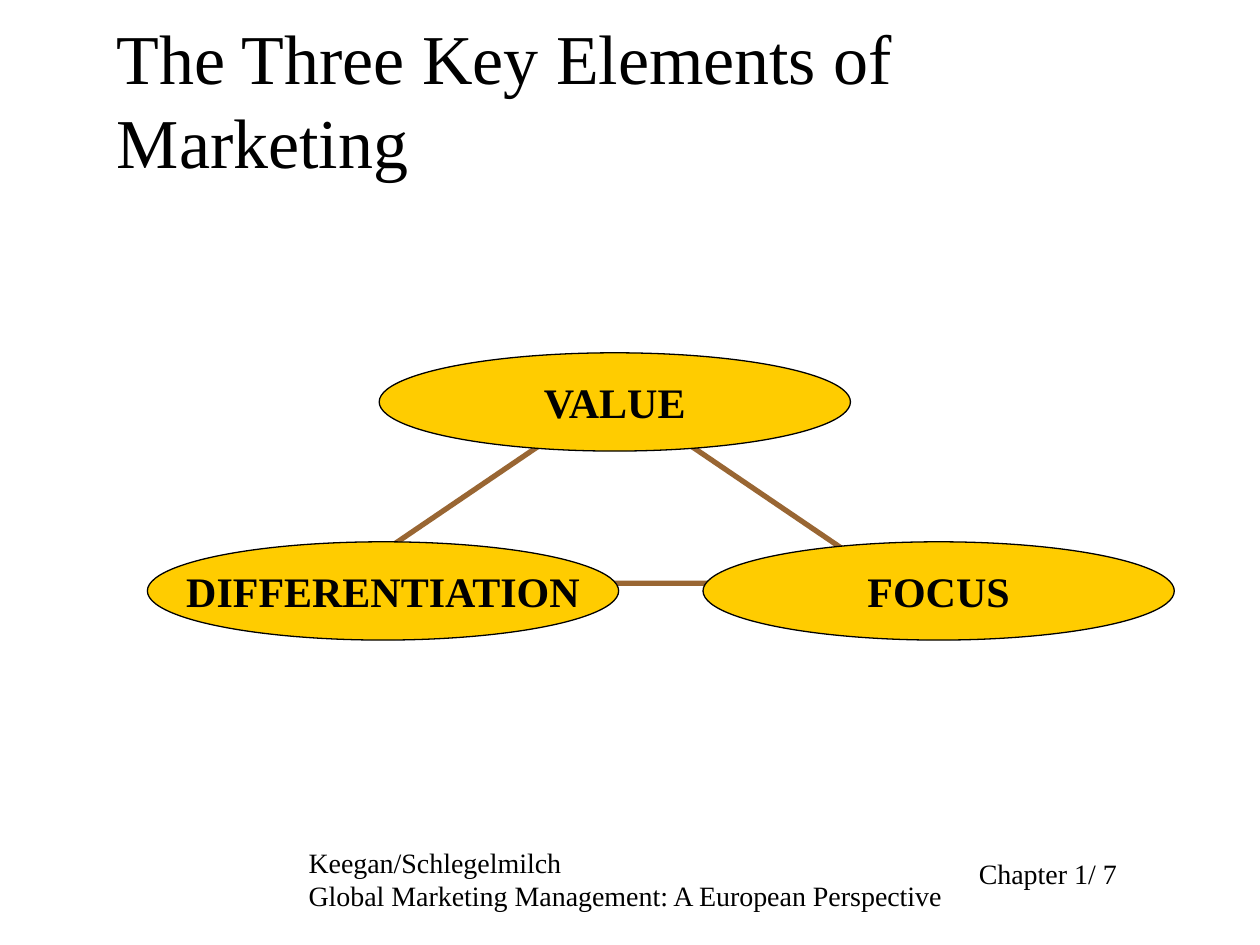
from pptx import Presentation
from pptx.dml.color import RGBColor
from pptx.enum.shapes import MSO_SHAPE as Shape
from pptx.enum.text import MSO_ANCHOR as Anchor, PP_ALIGN as Align
from pptx.util import Inches, Pt

FONT = "Times New Roman"
BLACK, GOLD, BROWN = "000000", "FFCC00", "996633"
OVAL_WIDTH, OVAL_HEIGHT = 3.74, 0.78


def color(value):
    """Turn a hex string into a colour."""
    return RGBColor.from_string(value)


def write(frame, lines, size, bold=False, align=Align.LEFT, anchor=Anchor.TOP, wrap=True):
    """Fill a text frame with one paragraph per line."""
    frame.word_wrap = wrap
    frame.vertical_anchor = anchor
    for index, line in enumerate(lines):
        para = frame.add_paragraph() if index else frame.paragraphs[0]
        para.text = line
        para.alignment = align
        para.font.name = FONT
        para.font.size = Pt(size)
        para.font.bold = bold
        para.font.color.rgb = color(BLACK)


def add_text(page, box, lines, size, **style):
    """Place a text box."""
    text_box = page.shapes.add_textbox(*map(Inches, box))
    write(text_box.text_frame, lines, size, **style)


def add_outline(page, kind, box, line, weight, fill=None):
    """Place a preset shape with an outline and an optional fill."""
    shape = page.shapes.add_shape(kind, *map(Inches, box))
    shape.shadow.inherit = False
    shape.line.color.rgb = color(line)
    shape.line.width = Pt(weight)
    if fill:
        shape.fill.solid()
        shape.fill.fore_color.rgb = color(fill)
    else:
        shape.fill.background()
    return shape


def add_elements(page, left, top):
    """Draw the triangle and the three ovals on its corners."""
    add_outline(page, Shape.ISOSCELES_TRIANGLE, (left + 1.5, top + 0.33, 4.42, 1.5), BROWN, 3)
    ovals = [("VALUE", 1.84, 0), ("DIFFERENTIATION", 0, 1.5), ("FOCUS", 4.41, 1.5)]
    for label, across, down in ovals:
        box = (left + across, top + down, OVAL_WIDTH, OVAL_HEIGHT)
        oval = add_outline(page, Shape.OVAL, box, BLACK, 0.75, GOLD)
        write(oval.text_frame, [label], 24, bold=True, align=Align.CENTER,
              anchor=Anchor.MIDDLE, wrap=False)


def add_footer(page, left, top):
    """Place the book reference and the chapter number."""
    book = ["Keegan/Schlegelmilch", "Global Marketing Management: A European Perspective"]
    add_text(page, (left, top, 5.25, 0.64), book, 16, wrap=False)
    add_text(page, (left + 5.32, top + 0.09, 2.11, 0.37), ["Chapter 1/ 7"], 16)


def main():
    """Build and save the deck."""
    deck = Presentation()
    deck.slide_width, deck.slide_height = Inches(10), Inches(7.5)
    page = deck.slides.add_slide(deck.slide_layouts[6])
    add_footer(page, 2.35, 6.66)
    add_text(page, (0.83, 0.25, 8.72, 1.25), ["The Three Key Elements of Marketing"], 40,
             anchor=Anchor.BOTTOM)
    add_elements(page, 1.17, 2.8)
    deck.save("out.pptx")


if __name__ == "__main__":
    main()
